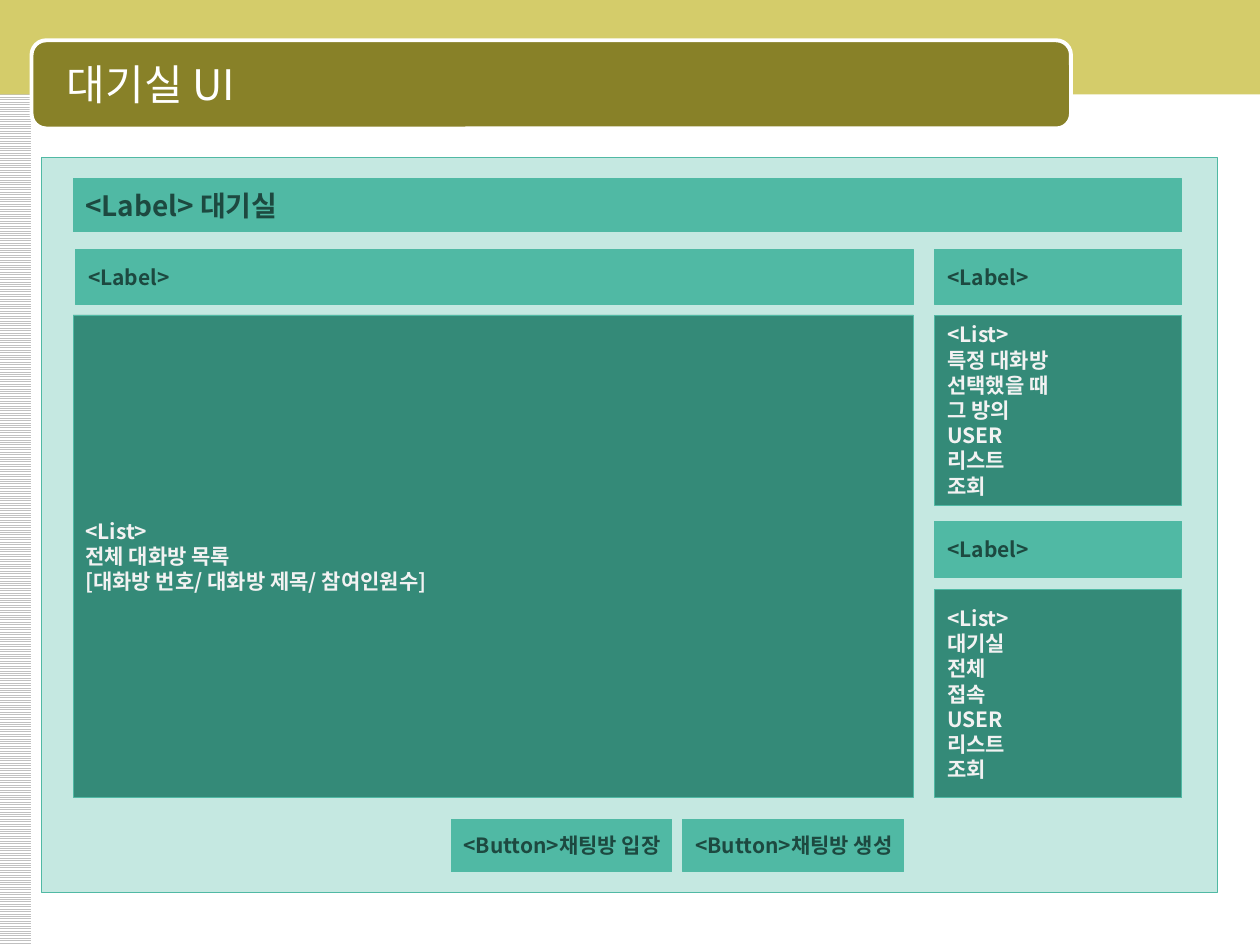
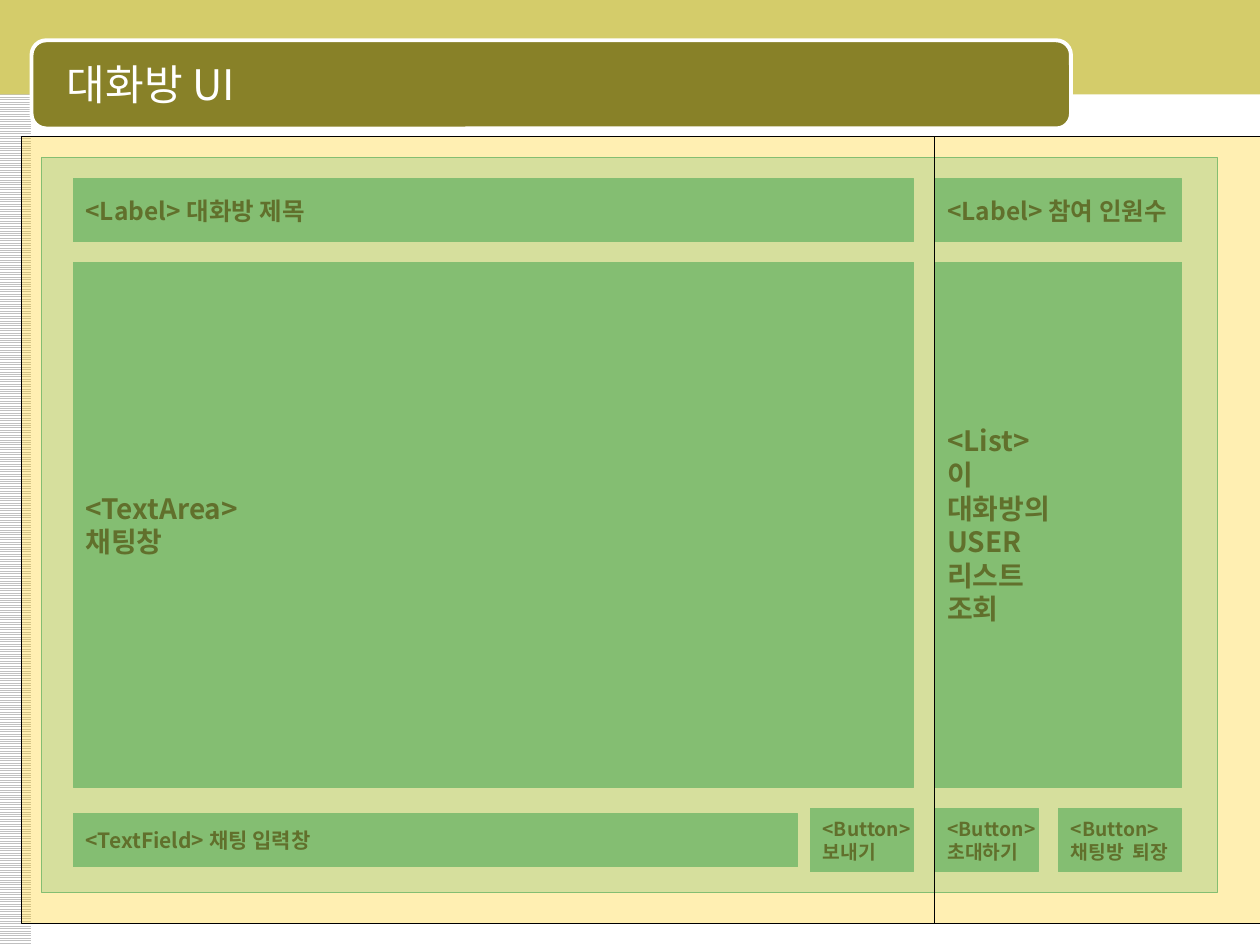
from pptx import Presentation
from pptx.dml.color import RGBColor
from pptx.enum.dml import MSO_PATTERN
from pptx.enum.shapes import MSO_SHAPE
from pptx.enum.text import MSO_ANCHOR, PP_ALIGN
from pptx.oxml.ns import qn
from pptx.util import Inches, Pt
from lxml import etree

FONT = "Noto Sans CJK KR"
COLORS = {
    "band": "D4CC6A", "title": "888128", "white": "FFFFFF", "stripe": "C0C0C0",
    "window": "C5E8E1", "label": "50B9A4", "list": "348A78",
    "label text": "1D4940", "list text": "F2F2F2",
    "highlight": "FFCC00", "black": "000000",
}
RGB = {name: RGBColor.from_string(value) for name, value in COLORS.items()}
FRAME_FORMAT = {"word_wrap": False, "vertical_anchor": MSO_ANCHOR.MIDDLE}


def add_box(page, area, fill, line=None, width=0.5, kind=MSO_SHAPE.RECTANGLE):
    box = page.shapes.add_shape(kind, *[Inches(value) for value in area])
    box.shadow.inherit = False
    box.fill.solid()
    box.fill.fore_color.rgb = RGB[fill]
    if line:
        box.line.color.rgb = RGB[line]
        box.line.width = Pt(width)
    else:
        box.line.fill.background()
    return box


def write(box, lines, size, color, bold=True):
    frame = box.text_frame
    for name, value in FRAME_FORMAT.items():
        setattr(frame, name, value)
    for index, line in enumerate(lines):
        para = frame.paragraphs[0] if index == 0 else frame.add_paragraph()
        para.alignment = PP_ALIGN.LEFT
        span = para.add_run()
        span.text = line
        for name, value in {"name": FONT, "size": Pt(size), "bold": bold}.items():
            setattr(span.font, name, value)
        span.font.color.rgb = RGB[color]
        etree.SubElement(span.font._element, qn("a:ea"), typeface=FONT)


# Columns and rows of the two window mock-ups: (start, length)
MAIN, SIDE = (0.58, 6.67), (7.42, 1.96)
LABEL_HEIGHT, BUTTON_WIDTH = 0.44, 0.82
HEAD, BODY, FOOT = (1.42, 0.5), (2.08, 4.17), (6.42, 0.5)

# Each part: kind, (left, width), (top, height), text size, lines
waiting_room = [
    ("list", SIDE, (4.68, 1.65), 12,
     ["<List>", "대기실", "전체", "접속", "USER", "리스트", "조회"]),
    ("list", SIDE, (2.5, 1.51), 12,
     ["<List>", "특정 대화방", "선택했을 때", "그 방의", "USER", "리스트", "조회"]),
    ("list", MAIN, (2.5, 3.83), 12,
     ["<List>", "전체 대화방 목록", "[대화방 번호/ 대화방 제목/ 참여인원수]"]),
    ("label", (5.42, 1.75), (6.5, 0.42), 12, ["<Button>채팅방 생성"]),
    ("label", (3.58, 1.75), (6.5, 0.42), 12, ["<Button>채팅방 입장"]),
    ("label", (0.58, 8.8), (1.42, 0.42), 16, ["<Label> 대기실"]),
    ("label", SIDE, (1.98, LABEL_HEIGHT), 12, ["<Label>"]),
    ("label", SIDE, (4.14, LABEL_HEIGHT), 12, ["<Label>"]),
    ("label", (0.6, 6.65), (1.98, LABEL_HEIGHT), 12, ["<Label>"]),
]
chat_room = [
    ("label", SIDE, BODY, 16,
     ["<List>", "이", "대화방의", "USER", "리스트", "조회"]),
    ("label", MAIN, BODY, 16, ["<TextArea>", "채팅창"]),
    ("label", (8.4, 0.98), FOOT, 11, ["<Button>", "채팅방  퇴장"]),
    ("label", SIDE, HEAD, 14, ["<Label> 참여 인원수"]),
    ("label", MAIN, HEAD, 14, ["<Label> 대화방 제목"]),
    ("label", (0.58, 5.75), (6.46, 0.42), 12, ["<TextField> 채팅 입력창"]),
    ("label", (6.43, BUTTON_WIDTH), FOOT, 11, ["<Button>", "보내기"]),
    ("label", (7.42, BUTTON_WIDTH), FOOT, 11, ["<Button>", "초대하기"]),
]
# Translucent areas over the chat room: (left, width)
chat_highlights = [(7.42, 2.58), (0.17, 7.25)]

deck = Presentation()
deck.slide_width, deck.slide_height = Inches(10), Inches(7.5)

for title, parts, highlights in [
    ("대기실 UI", waiting_room, []),
    ("대화방 UI", chat_room, chat_highlights),
]:
    page = deck.slides.add_slide(deck.slide_layouts[6])

    # Striped edge, top band and title plate
    edge = add_box(page, (-0.01, 0, 0.26, 7.5), "white")
    edge.fill.patterned()
    edge.fill.pattern = MSO_PATTERN.LIGHT_HORIZONTAL
    edge.fill.fore_color.rgb = RGB["stripe"]
    edge.fill.back_color.rgb = RGB["white"]
    add_box(page, (-0.01, 0, 10.02, 0.75), "band")
    add_box(page, (0.25, 0.32, 8.25, 0.7), "title", "white", 2.25,
            MSO_SHAPE.ROUNDED_RECTANGLE)

    # Title
    heading = page.shapes.add_textbox(
        Inches(0.33), Inches(0.35), Inches(8.08), Inches(0.62))
    write(heading, [title], 24, "white", bold=False)
    heading.text_frame.word_wrap = True
    heading.text_frame.margin_left = Inches(0.2)

    # Window and its parts
    add_box(page, (0.33, 1.25, 9.33, 5.83), "window", "label")
    for kind, (left, width), (top, height), size, lines in parts:
        box = add_box(page, (left, top, width, height), kind, "label")
        write(box, lines, size, kind + " text")

    # Highlights
    for left, width in highlights:
        veil = add_box(page, (left, 1.08, width, 6.25), "highlight", "black")
        color = veil._element.spPr.find(qn("a:solidFill"))[0]
        etree.SubElement(color, qn("a:alpha"), val="30000")

deck.save("out.pptx")
